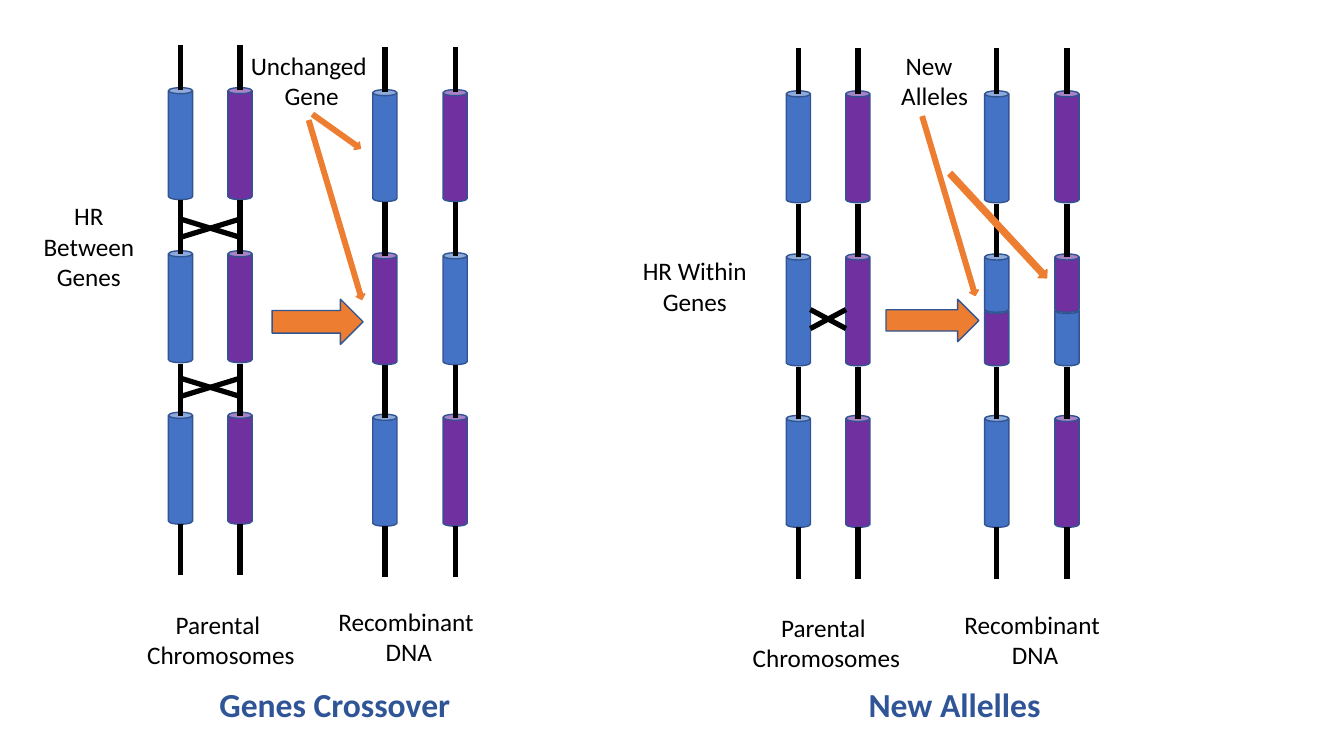
from dataclasses import dataclass
from lxml.etree import SubElement
from pptx import Presentation
from pptx.dml.color import RGBColor as Rgb
from pptx.enum.shapes import MSO_CONNECTOR as Link, MSO_SHAPE as Kind
from pptx.enum.text import PP_ALIGN as Align
from pptx.oxml.ns import qn
from pptx.util import Cm, Pt


@dataclass(frozen=True)
class Theme:
    """Colours, font and sizes of the slide."""
    blue: Rgb = Rgb(0x44, 0x72, 0xC4)
    purple: Rgb = Rgb(0x70, 0x30, 0xA0)
    orange: Rgb = Rgb(0xED, 0x7D, 0x31)
    edge: Rgb = Rgb(0x32, 0x54, 0x91)
    title: Rgb = Rgb(0x2F, 0x55, 0x97)
    black: Rgb = Rgb(0, 0, 0)
    font: str = "Calibri"
    body: Pt = Pt(18)
    head: Pt = Pt(24)
    thin: Pt = Pt(1)
    thick: Pt = Pt(3.75)


THEME = Theme()
BLUE, PURPLE = THEME.blue, THEME.purple
WIDTH, HEIGHT = 0.61, 2.82
GENES = (1.07, 5.18, 9.25)
LINKS = ((0, 1.14), (3.91, 5.26), (8.02, 9.35), (12.07, 13.36))
ROWS = [(BLUE,), (BLUE,), (BLUE,)], [(PURPLE,), (PURPLE,), (PURPLE,)]


def solid(slide, kind, x, y, w, h, fill, edge=THEME.edge, turn=0):
    """Add a filled and outlined preset shape."""
    shape = slide.shapes.add_shape(kind, Cm(x), Cm(y), Cm(w), Cm(h))
    shape.shadow.inherit = False
    shape.fill.solid()
    shape.fill.fore_color.rgb = fill
    shape.line.color.rgb = edge
    shape.line.width = THEME.thin
    shape.rotation = turn


def stroke(slide, x1, y1, x2, y2):
    """Add a thick black line."""
    line = slide.shapes.add_connector(Link.STRAIGHT, Cm(x1), Cm(y1), Cm(x2), Cm(y2))
    line.line.color.rgb = THEME.black
    line.line.width = THEME.thick
    SubElement(line._element.spPr, qn("a:effectLst"))


def label(slide, x, y, w, h, text, title=False):
    """Add a centred label or a bold title, one paragraph a line."""
    frame = slide.shapes.add_textbox(Cm(x), Cm(y), Cm(w), Cm(h)).text_frame
    frame.word_wrap = True
    frame.text = text
    for par in frame.paragraphs:
        par.alignment = Align.LEFT if title else Align.CENTER
        par.font.name = THEME.font
        par.font.size = THEME.head if title else THEME.body
        par.font.bold = title
        par.font.color.rgb = THEME.title if title else THEME.black


def strand(slide, x, y, genes):
    """Draw a strand centred on x, each gene given as its colours from the top."""
    for top, hues in zip(GENES, genes):
        step = HEIGHT / len(hues)
        for i, hue in reversed(list(enumerate(hues))):
            lap = 0.06 if len(hues) > 1 else 0
            solid(slide, Kind.CAN, x - WIDTH / 2, y + top + i * step - i * lap,
                  WIDTH, step + lap, hue)
    for start, end in LINKS:
        stroke(slide, x, y + start, x, y + end)


def cross(slide, x, y, w, h):
    """Draw two crossing lines in a box."""
    stroke(slide, x, y, x + w, y + h)
    stroke(slide, x, y + h, x + w, y)


def parents(slide, x, y):
    """Draw the blue and the purple parent strand."""
    for i, genes in enumerate(ROWS):
        strand(slide, x + 4 + 1.5 * i, y, genes)


def pointer(slide, x, y, w, h, turn):
    """Draw a thin turned arrow."""
    solid(slide, Kind.RIGHT_ARROW, x, y, w, h, THEME.orange, THEME.orange, turn)


def captions(slide, x, y, left, right):
    """Name the parent and the recombined strands below them."""
    label(slide, x + left, y + 14.08, 4.27, 1.8, "Parental \nChromosomes")
    label(slide, x + right, y + 14.01, 4.11, 1.8, "Recombinant \nDNA")


def crossover(slide, x, y):
    """Draw the panel with recombination between genes."""
    parents(slide, x, y)
    for top in (4.38, 8.39):
        cross(slide, x + 4, y + top, 1.5, 0.46)
    strand(slide, x + 9.15, y + 0.05, [(BLUE,), (PURPLE,), (BLUE,)])
    strand(slide, x + 10.92, y + 0.05, [(PURPLE,), (BLUE,), (PURPLE,)])
    label(slide, x, y + 3.79, 3.38, 2.57, "HR Between Genes")
    captions(slide, x, y, 2.88, 7.7)
    solid(slide, Kind.RIGHT_ARROW, x + 6.31, y + 6.4, 2.29, 1.14, THEME.orange)
    label(slide, x + 5.44, y, 3.73, 1.8, "Unchanged \nGene")
    pointer(slide, x + 5.55, y + 4.04, 4.7, 0.23, 73.5)
    pointer(slide, x + 7.2, y + 2.06, 1.47, 0.23, 35.4)
    label(slide, x + 4.73, y + 15.98, 8.59, 1.27, "Genes Crossover", True)


def alleles(slide, x, y):
    """Draw the panel with recombination within a gene."""
    parents(slide, x, y)
    cross(slide, x + 4.3, y + 6.58, 0.9, 0.48)
    strand(slide, x + 9, y, [(BLUE,), (BLUE, PURPLE), (BLUE,)])
    strand(slide, x + 10.77, y, [(PURPLE,), (PURPLE, BLUE), (PURPLE,)])
    label(slide, x - 0.3, y + 5.1, 3.38, 1.8, "HR Within Genes")
    captions(slide, x, y, 2.57, 7.91)
    solid(slide, Kind.RIGHT_ARROW, x + 6.21, y + 6.32, 2.34, 1.07, THEME.orange)
    label(slide, x + 5.57, y - 0.08, 3.73, 1.8, "New  \nAlleles")
    pointer(slide, x + 5.44, y + 3.86, 4.7, 0.23, 73.5)
    pointer(slide, x + 7.25, y + 4.32, 3.58, 0.3, 47.2)
    label(slide, x + 5.52, y + 15.9, 8.59, 1.27, "New Allelles", True)


def main():
    """Build and save the slide."""
    deck = Presentation()
    deck.slide_width, deck.slide_height = Cm(33.87), Cm(19.05)
    slide = deck.slides.add_slide(deck.slide_layouts[6])
    crossover(slide, 0.55, 1.14)
    alleles(slide, 16.12, 1.22)
    deck.save("out.pptx")


main()
